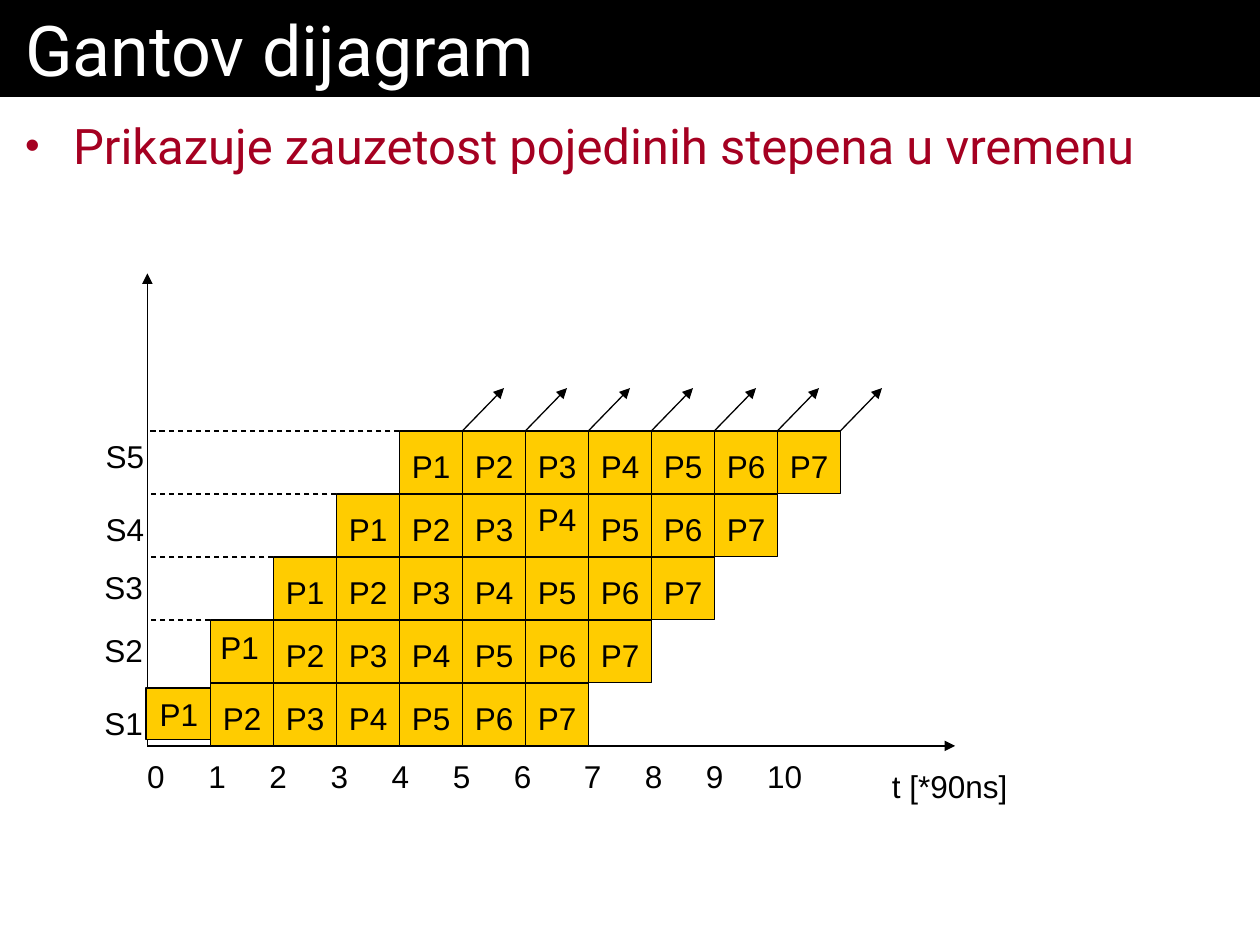
import pptx
import pptx.dml.color
import pptx.enum.dml
import pptx.enum.shapes
import pptx.enum.text
import pptx.oxml
import pptx.oxml.ns
import pptx.util
from pptx.util import Inches

COLORS = {"black": "000000", "white": "FFFFFF", "red": "A50021", "cell": "FFCC00"}
RGB = {name: pptx.dml.color.RGBColor.from_string(value) for name, value in COLORS.items()}
ANCHOR = pptx.enum.text.MSO_ANCHOR
ALIGN = pptx.enum.text.PP_ALIGN
RECTANGLE = pptx.enum.shapes.MSO_SHAPE.RECTANGLE
NAMESPACE = pptx.oxml.ns.nsdecls("a")

AXIS_X, AXIS_Y, STEP = 1.17, 5.92, 0.5
STAGES, PROCESSES = 5, 7

presentation = pptx.Presentation()
presentation.slide_width = Inches(10)
presentation.slide_height = Inches(7.5)
slide = presentation.slides.add_slide(presentation.slide_layouts[1])
shapes = slide.shapes


def add_line(x1, y1, x2, y2, arrow=False):
    line = shapes.add_connector(
        pptx.enum.shapes.MSO_CONNECTOR.STRAIGHT, Inches(x1), Inches(y1), Inches(x2), Inches(y2)
    )
    line.line.color.rgb = RGB["black"]
    line.line.width = pptx.util.Pt(0.75)
    if arrow:
        line.line._get_or_add_ln().append(
            pptx.oxml.parse_xml(f'<a:tailEnd {NAMESPACE} type="triangle"/>')
        )
    else:
        line.line.dash_style = pptx.enum.dml.MSO_LINE.DASH
    line._element.spPr.append(pptx.oxml.parse_xml(f"<a:effectLst {NAMESPACE}/>"))


def add_label(text, left, top, width=0.51, tabs=()):
    label = shapes.add_textbox(Inches(left), Inches(top), Inches(width), Inches(0.4))
    frame = label.text_frame
    frame.word_wrap = bool(tabs)
    frame.vertical_anchor = ANCHOR.BOTTOM
    frame.text = text
    paragraph = frame.paragraphs[0]
    if tabs:
        stops = "".join(f'<a:tab pos="{Inches(tab)}" algn="l"/>' for tab in tabs)
        paragraph._p.get_or_add_pPr().append(
            pptx.oxml.parse_xml(f"<a:tabLst {NAMESPACE}>{stops}</a:tabLst>")
        )
    font = paragraph.runs[0].font
    font.name, font.size = "Arial", pptx.util.Pt(18)
    font.color.rgb = RGB["black"]


title, body = shapes.title, slide.placeholders[1]
title.fill.solid()
title.fill.fore_color.rgb = RGB["black"]
for placeholder, text, top, height, margin, size, color in [
    (title, "Gantov dijagram", 0, 0.77, 0.05, 40, "white"),
    (body, "Prikazuje zauzetost pojedinih stepena u vremenu", 0.77, 6.73, 0.15, 28, "red"),
]:
    placeholder.left, placeholder.top = Inches(0), Inches(top)
    placeholder.width, placeholder.height = Inches(10), Inches(height)
    frame = placeholder.text_frame
    frame.auto_size = pptx.enum.text.MSO_AUTO_SIZE.NONE
    frame.margin_left = frame.margin_right = Inches(0.2)
    frame.margin_top = frame.margin_bottom = Inches(margin)
    frame.text = text
    paragraph = frame.paragraphs[0]
    paragraph.alignment = ALIGN.LEFT
    paragraph.space_before = pptx.util.Pt(0)
    font = paragraph.runs[0].font
    font.name, font.size = "Roboto", pptx.util.Pt(size)
    font.color.rgb = RGB[color]

properties = body.text_frame.paragraphs[0]._p.get_or_add_pPr()
properties.set("marL", str(Inches(0.38)))
properties.set("indent", str(Inches(-0.38)))
for bullet in [
    f'<a:buClr {NAMESPACE}><a:srgbClr val="{COLORS["red"]}"/></a:buClr>',
    f'<a:buSzPct {NAMESPACE} val="85000"/>',
    f'<a:buChar {NAMESPACE} char="•"/>',
]:
    properties.append(pptx.oxml.parse_xml(bullet))

add_line(AXIS_X, AXIS_Y, AXIS_X, 2.17, arrow=True)
add_line(AXIS_X, AXIS_Y, 7.58, AXIS_Y, arrow=True)

label_positions = {(1, 0): (1.65, 4.93), (3, 3): (4.17, 3.92)}
for process in range(PROCESSES):
    for stage in range(STAGES):
        first = stage == process == 0
        left = AXIS_X + STEP * (stage + process)
        top = AXIS_Y - STEP * (stage + 1)
        box = (1.16, 5.46, 0.52, 0.41) if first else (left, top, STEP, STEP)
        cell = shapes.add_shape(RECTANGLE, *map(Inches, box))
        cell.shadow.inherit = False
        cell.fill.solid()
        cell.fill.fore_color.rgb = RGB["cell"]
        cell.line.color.rgb = RGB["black"]
        cell.line.width = pptx.util.Pt(0.75)
        name = f"P{process + 1}"
        if first:
            frame = cell.text_frame
            frame.word_wrap = False
            frame.vertical_anchor = ANCHOR.MIDDLE
            frame.text = name
            frame.paragraphs[0].alignment = ALIGN.CENTER
            font = frame.paragraphs[0].runs[0].font
            font.name, font.size = "Arial", pptx.util.Pt(18)
            font.color.rgb = RGB["black"]
        else:
            add_label(name, *label_positions.get((stage, process), (left, top + 0.08)))

for stage in range(1, STAGES):
    y = AXIS_Y - STEP * (stage + 1)
    add_line(AXIS_X + STEP * stage, y, AXIS_X, y)

for number, (left, top) in enumerate(
    [(0.73, 5.54), (0.73, 4.96), (0.73, 4.46), (0.74, 4), (0.74, 3.42)], start=1
):
    add_label(f"S{number}", left, top)

tick_tabs = [0.97 * tick / 2 + (0.07 if tick >= 7 else 0) for tick in range(1, 11)]
add_label("\t".join(str(tick) for tick in range(11)), 1.07, 5.96, 5.6, tick_tabs)
add_label("t [*90ns]", 6.98, 6.04, 1.12)

exit_y = AXIS_Y - STEP * STAGES
for process in range(PROCESSES):
    exit_x = AXIS_X + STEP * (STAGES + process)
    add_line(exit_x, exit_y, exit_x + 0.33, exit_y - 0.34, arrow=True)

presentation.save("out.pptx")
